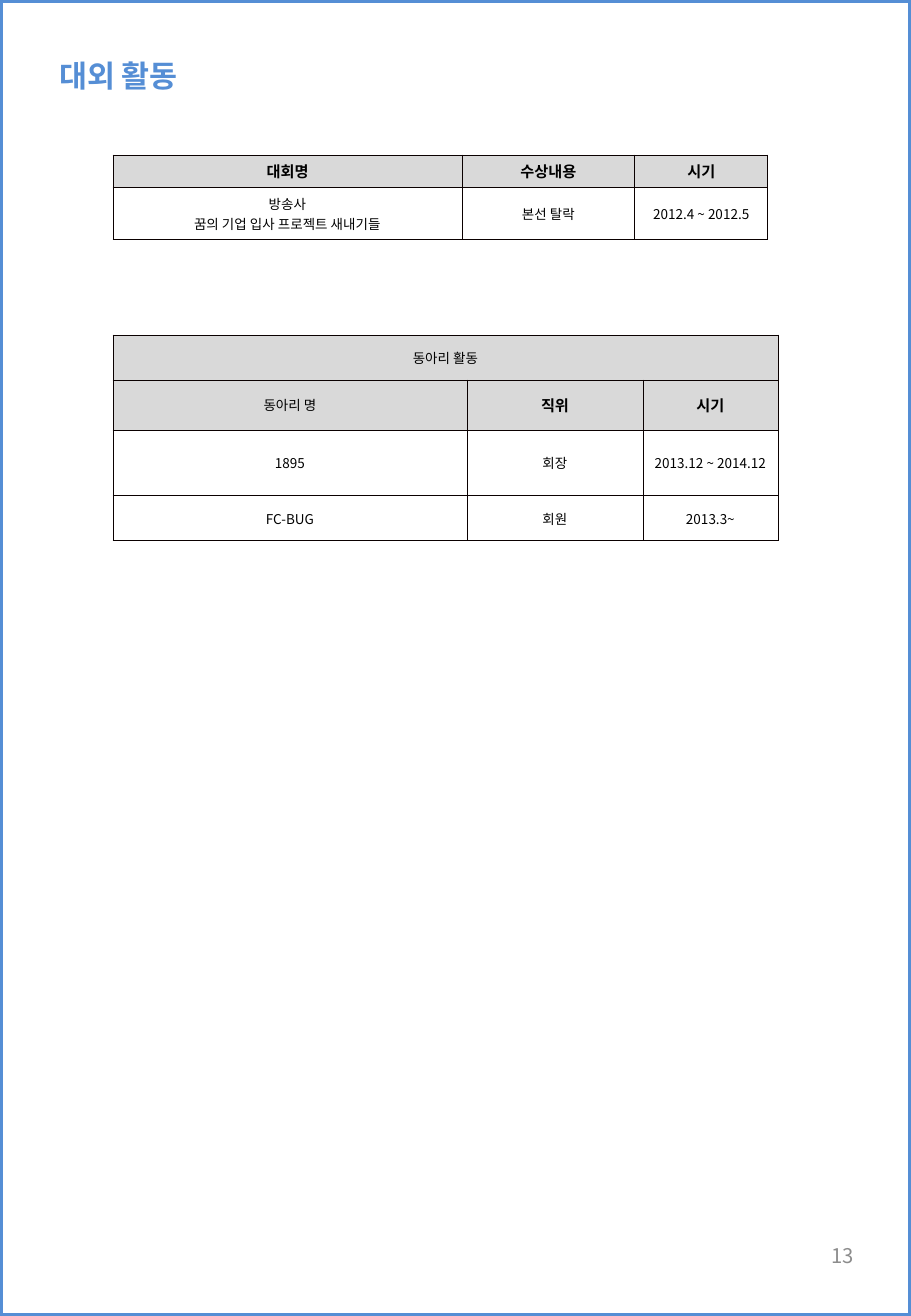
from lxml import etree
from pptx import Presentation
from pptx import util as u
from pptx.dml.color import RGBColor
from pptx.enum import shapes, text
from pptx.oxml.ns import qn

PX = 914400 / 121.5
FONT = "Noto Sans CJK KR"
BLUE, GREY, WHITE, BLACK = "558ED5", "D9D9D9", "FFFFFF", "000000"
EDGE = "0A0000"


def px(*vals):
    return [u.Emu(round(v * PX)) for v in vals]


def style(par, size, color, bold, align):
    par.alignment = align
    font = par.font
    font.size, font.bold = u.Pt(size), bold
    font.color.rgb = RGBColor.from_string(color)
    font.name = FONT
    # Korean glyphs take the East Asian font
    props = par._p.pPr.find(qn("a:defRPr"))
    etree.SubElement(props, qn("a:ea"), typeface=FONT)


prs = Presentation()
prs.slide_width, prs.slide_height = px(911, 1316)
slide = prs.slides.add_slide(prs.slide_layouts[5])
al = text.PP_ALIGN

# Page frame
frame = slide.shapes.add_shape(shapes.MSO_SHAPE.RECTANGLE, *px(0, 0, 911, 1316))
frame.shadow.inherit = False
frame.fill.background()
frame.line.color.rgb = RGBColor.from_string(BLUE)
frame.line.width = u.Pt(3.75)

# Title
title = slide.shapes.title
title.left, title.top, title.width, title.height = px(47, 51, 158, 49)
head = title.text_frame
head.text = "대외 활동"
head.word_wrap = False
head.auto_size = text.MSO_AUTO_SIZE.SHAPE_TO_FIT_TEXT
head.vertical_anchor = text.MSO_ANCHOR.TOP
style(head.paragraphs[0], 18, BLUE, True, al.LEFT)

# Page number
page = slide.shapes.add_textbox(*px(654, 1220, 212, 70)).text_frame
page.text = "13"
page.word_wrap = True
page.vertical_anchor = text.MSO_ANCHOR.MIDDLE
style(page.paragraphs[0], 12, "8C8C8C", False, al.RIGHT)

# Tables: top, column widths, row heights, header rows, texts
tables = [
    (155, [349, 173, 133], [32, 53], 1, [
        ["대회명", "수상내용", "시기"],
        ["방송사\n꿈의 기업 입사 프로젝트 새내기들", "본선 탈락", "2012.4 ~ 2012.5"]]),
    (335, [354, 176, 135], [45, 50, 66, 45], 2, [
        ["동아리 활동", "", ""],
        ["동아리 명", "직위", "시기"],
        ["1895", "회장", "2013.12 ~ 2014.12"],
        ["FC-BUG", "회원", "2013.3~"]]),
]
strong = {"대회명", "수상내용", "직위", "시기"}

for top, cols, rows, heads, data in tables:
    grid = slide.shapes.add_table(len(rows), len(cols),
                                  *px(113, top, sum(cols), sum(rows))).table
    for col, wide in zip(grid.columns, px(*cols)):
        col.width = wide
    for row, high in zip(grid.rows, px(*rows)):
        row.height = high
    for r, line in enumerate(data):
        for c, words in enumerate(line):
            cell = grid.cell(r, c)
            cell.margin_left = cell.margin_right = u.Inches(0.06)
            cell.margin_top = cell.margin_bottom = u.Inches(0.02)
            cell.vertical_anchor = text.MSO_ANCHOR.MIDDLE
            # Borders come before the fill in the cell's XML
            for side in ("lnL", "lnR", "lnT", "lnB"):
                rule = etree.SubElement(cell._tc.tcPr, qn("a:" + side), w="7112")
                fill = etree.SubElement(rule, qn("a:solidFill"))
                etree.SubElement(fill, qn("a:srgbClr"), val=EDGE)
            cell.fill.solid()
            cell.fill.fore_color.rgb = RGBColor.from_string(GREY if r < heads else WHITE)
            cell.text = words
            bold = words in strong
            for par in cell.text_frame.paragraphs:
                style(par, 9 if bold else 8, BLACK, bold, al.CENTER)
    if not data[0][1]:
        grid.cell(0, 0).merge(grid.cell(0, 2))

prs.save("out.pptx")
